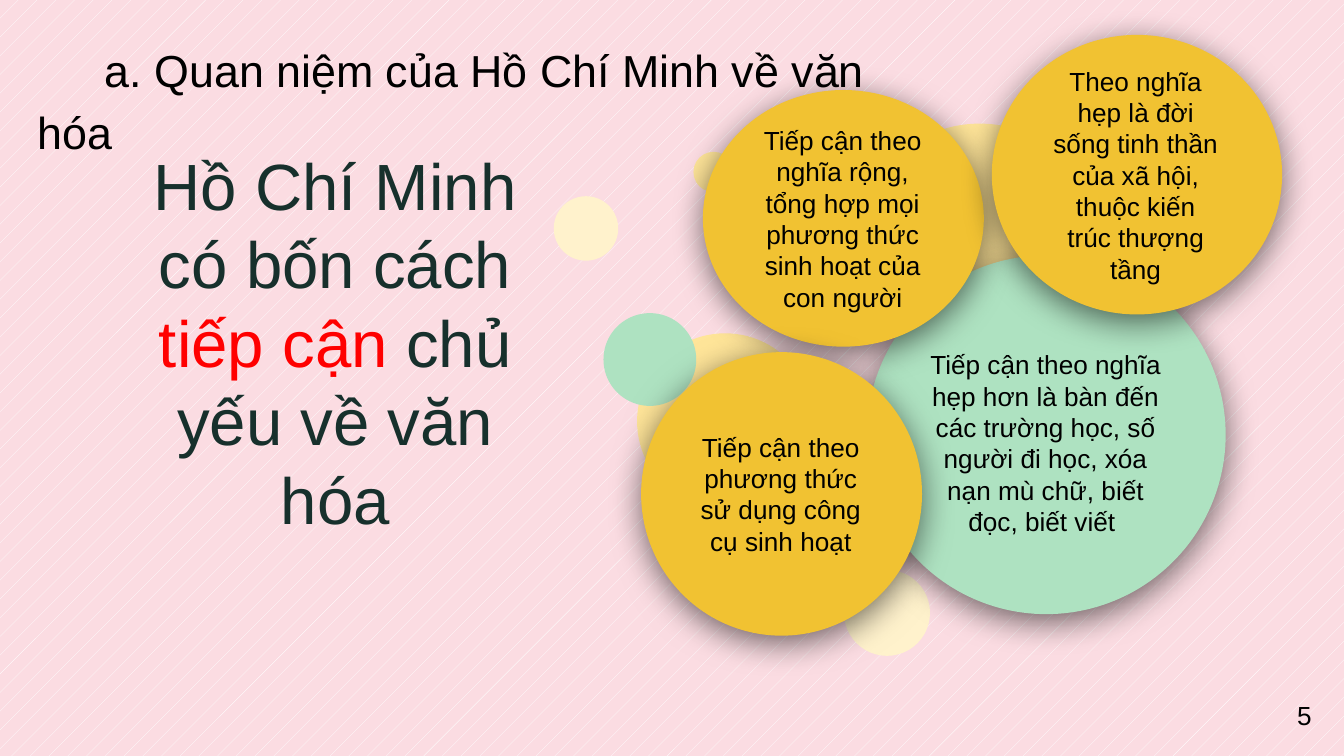
from pptx import Presentation
from pptx.dml.color import RGBColor
from pptx.enum import dml, shapes, text
from pptx.oxml import parse_xml
from pptx.oxml.ns import nsdecls
from pptx.util import Inches, Pt


def rgb(value):
    return RGBColor.from_string(value)


def write(frame, pieces, size, align=text.PP_ALIGN.CENTER, anchor=text.MSO_ANCHOR.MIDDLE, inset=0.1):
    frame.word_wrap = True
    frame.auto_size = text.MSO_AUTO_SIZE.NONE
    frame.vertical_anchor = anchor
    frame.margin_left = frame.margin_right = Inches(0.1)
    frame.margin_top = frame.margin_bottom = Inches(inset)
    paragraph = frame.paragraphs[0]
    paragraph.alignment = align
    for words, color in pieces:
        run = paragraph.add_run()
        run.text = words
        run.font.name = "Arial"
        run.font.size = Pt(size)
        run.font.color.rgb = rgb(color)
    return paragraph


BLACK, DARK, RED = "000000", "17302C", "FF0000"
GREEN, GOLD, CREAM, YELLOW = "AEE2C1", "F1C232", "FFF2CC", "FFE599"

prs = Presentation()
prs.slide_width = Inches(10)
prs.slide_height = Inches(10 * 9 / 16)
slide = prs.slides.add_slide(prs.slide_layouts[5])

backdrop = slide.background.fill
backdrop.patterned()
backdrop.pattern = dml.MSO_PATTERN.PERCENT_5
backdrop.fore_color.rgb = rgb("FFFFFF")
backdrop.back_color.rgb = rgb("FBDCE2")

title = slide.shapes.title
title.left, title.top, title.width, title.height = map(Inches, (1.01, 0.98, 2.97, 2.95))
write(title.text_frame,
      [("Hồ Chí Minh có bốn cách ", DARK), ("tiếp cận ", RED), ("chủ yếu về văn hóa", DARK)],
      35, anchor=text.MSO_ANCHOR.TOP)

page_number = slide.shapes.add_textbox(*map(Inches, (9.41, 5.02, 0.59, 0.6)))
write(page_number.text_frame, [("5", BLACK)], 14)

bubbles = slide.shapes.add_group_shape()
for left, top, size, color in [
    (6.28, 4.24, 0.64, CREAM),
    (4.12, 1.46, 0.48, CREAM),
    (4.74, 2.48, 1.31, YELLOW),
    (6.37, 0.92, 1.84, YELLOW),
    (4.49, 2.33, 0.69, GREEN),
    (5.16, 1.13, 0.3, YELLOW),
]:
    bubble = bubbles.shapes.add_shape(
        shapes.MSO_SHAPE.OVAL, Inches(left), Inches(top), Inches(size), Inches(size))
    bubble.shadow.inherit = False
    bubble.fill.solid()
    bubble.fill.fore_color.rgb = rgb(color)
    bubble.line.fill.background()

approaches = [
    ((6.45, 1.9, 2.67, 2.67), GREEN, (6.76, 2.66, 2.04, 1.27),
     "Tiếp cận theo nghĩa hẹp hơn là bàn đến các trường học, số người đi học, "
     "xóa nạn mù chữ, biết đọc, biết viết "),
    ((5.23, 0.67, 2.09, 1.91), GOLD, (5.56, 0.99, 1.42, 1.27),
     "Tiếp cận theo nghĩa rộng, tổng hợp mọi phương thức sinh hoạt của con người"),
    ((4.77, 2.62, 2.09, 2.11), GOLD, (5.06, 3.01, 1.5, 1.33),
     "Tiếp cận theo phương thức sử dụng công cụ sinh hoạt"),
    ((7.38, 0.26, 2.16, 2.08), GOLD, (7.72, 0.61, 1.46, 1.38),
     "Theo nghĩa hẹp là đời sống tinh thần của xã hội, thuộc kiến trúc thượng tầng"),
]
for circle_box, color, label_box, words in approaches:
    approach = slide.shapes.add_group_shape()
    circle = approach.shapes.add_shape(shapes.MSO_SHAPE.OVAL, *map(Inches, circle_box))
    circle.fill.solid()
    circle.fill.fore_color.rgb = rgb(color)
    circle.line.fill.background()
    circle._element.spPr.append(parse_xml(
        f'<a:effectLst {nsdecls("a")}>'
        f'<a:outerShdw blurRad="{Pt(18)}" dist="{Pt(4)}" dir="5400000" algn="bl" rotWithShape="0">'
        '<a:srgbClr val="000000"><a:alpha val="55000"/></a:srgbClr>'
        '</a:outerShdw></a:effectLst>'))
    label = approach.shapes.add_textbox(*map(Inches, label_box))
    write(label.text_frame, [(words, BLACK)], 14)

heading = slide.shapes.add_textbox(*map(Inches, (0.18, 0.21, 6.68, 0.53)))
line = write(heading.text_frame, [("a. Quan niệm của Hồ Chí Minh về văn hóa", BLACK)], 24,
             text.PP_ALIGN.LEFT, text.MSO_ANCHOR.TOP, 0.05)
heading.text_frame.auto_size = text.MSO_AUTO_SIZE.SHAPE_TO_FIT_TEXT
line.line_spacing = 1.15
line.space_after = Pt(3)
indent = line._p.get_or_add_pPr()
indent.set("marL", "0")
indent.set("indent", str(Inches(0.5)))

prs.save("out.pptx")
